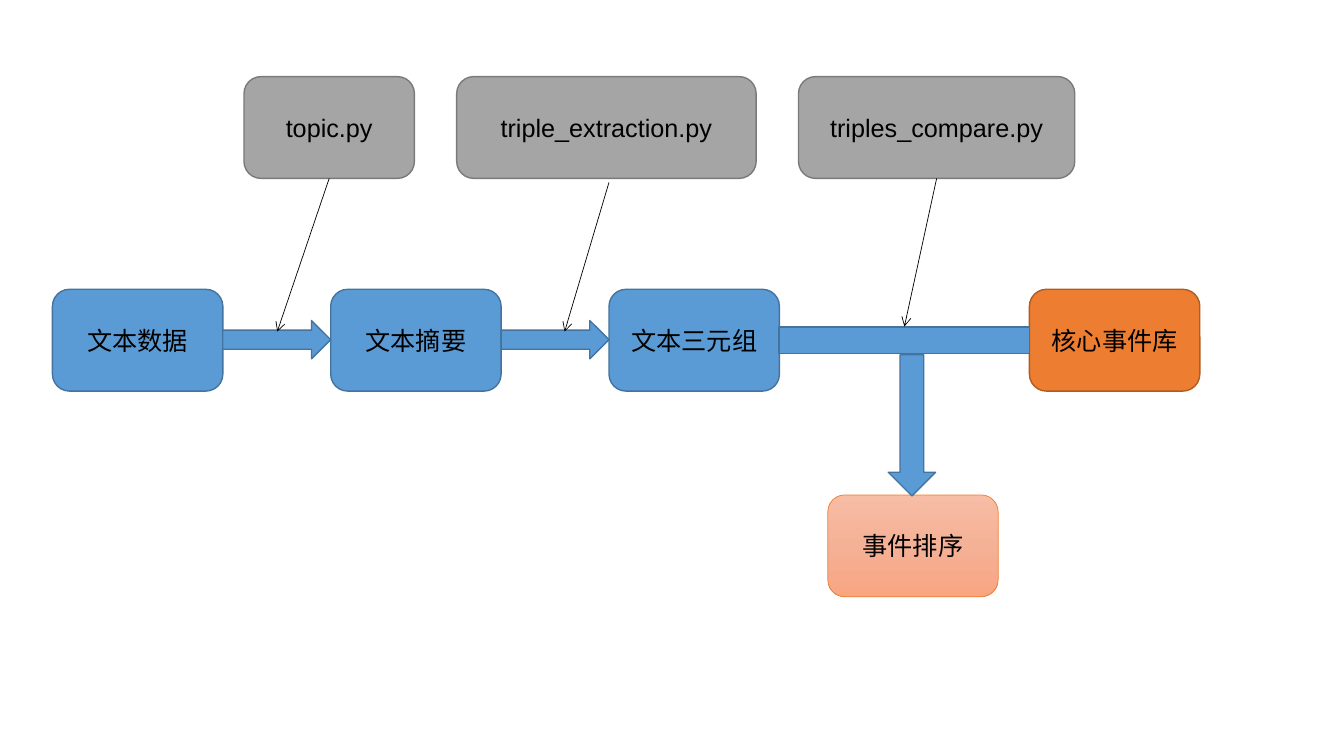
from pptx import Presentation
from pptx.dml.color import RGBColor
from pptx.enum.shapes import MSO_CONNECTOR, MSO_SHAPE as Shape
from pptx.enum.text import MSO_ANCHOR, PP_ALIGN
from pptx.oxml import parse_xml
from pptx.oxml.ns import nsdecls
from pptx.util import Inches, Pt

COLORS = {
    "blue": "5B9BD5", "blue_line": "43739E",
    "orange": "ED7D31", "orange_line": "AF5C24",
    "gray": "A5A5A5", "gray_line": "7A7A7A",
    "black": "000000",
}
PEACH_STOPS = [(0, "F7BDA5"), (50, "F5B196"), (100, "F8A582")]

BOX_W, BOX_H = 1.69, 1.01
FLOW_LEFT, FLOW_TOP, FLOW_STEP = 0.52, 2.87, 2.76
ARROW_TOP, ARROW_H = 3.18, 0.38
SCRIPT_TOP = 0.76

STAGES = ["文本数据", "文本摘要", "文本三元组"]
CORE = ("核心事件库", 10.21)
RANKING = ("事件排序", 8.21, 4.91)
BAR = (7.28, 2.82, 3.38, 1.11)
DOWN_ARROW = (8.81, 3.52, 0.47, 1.4)
SCRIPTS = [
    ("topic.py", 2.42, BOX_W, (3.28, 1.77), (2.75, 3.29)),
    ("triple_extraction.py", 4.53, 2.97, (6.04, 1.81), (5.6, 3.29)),
    ("triples_compare.py", 7.92, 2.74, (9.29, 1.77), (8.97, 3.24)),
]


def rgb(name):
    return RGBColor.from_string(COLORS[name])


def add_block(slide, kind, place, fill="blue", line="blue_line", weight=1):
    s = slide.shapes.add_shape(kind, *map(Inches, place))
    s.shadow.inherit = False
    s.fill.solid()
    s.fill.fore_color.rgb = rgb(fill)
    s.line.color.rgb = rgb(line)
    s.line.width = Pt(weight)
    return s


def add_box(slide, text, left, top, width=BOX_W, **style):
    place = (left, top, width, BOX_H)
    s = add_block(slide, Shape.FLOWCHART_ALTERNATE_PROCESS, place, **style)
    tf = s.text_frame
    tf.word_wrap = True
    tf.vertical_anchor = MSO_ANCHOR.MIDDLE
    p = tf.paragraphs[0]
    p.text = text
    p.alignment = PP_ALIGN.CENTER
    p.font.name = "Arial"
    p.font.size = Pt(18)
    p.font.color.rgb = rgb("black")
    return s


def set_gradient(s, stops):
    gs = "".join(
        f'<a:gs pos="{pos * 1000}"><a:srgbClr val="{color}"/></a:gs>'
        for pos, color in stops
    )
    gradient = parse_xml(
        f'<a:gradFill {nsdecls("a")} rotWithShape="1"><a:gsLst>{gs}</a:gsLst>'
        '<a:lin ang="5400000" scaled="0"/></a:gradFill>'
    )
    solid = s._element.spPr.find(
        "{http://schemas.openxmlformats.org/drawingml/2006/main}solidFill"
    )
    solid.getparent().replace(solid, gradient)


def add_pointer(slide, start, end):
    c = slide.shapes.add_connector(
        MSO_CONNECTOR.STRAIGHT, *map(Inches, start + end)
    )
    c.line.color.rgb = rgb("black")
    c.line.width = Pt(0.5)
    c.line._get_or_add_ln().append(
        parse_xml(f'<a:tailEnd {nsdecls("a")} type="arrow"/>')
    )
    c._element.spPr.append(parse_xml(f'<a:effectLst {nsdecls("a")}/>'))
    return c


def main():
    prs = Presentation()
    prs.slide_width, prs.slide_height = Inches(13.33), Inches(7.5)
    slide = prs.slides.add_slide(prs.slide_layouts[6])

    for i, text in enumerate(STAGES):
        left = FLOW_LEFT + i * FLOW_STEP
        add_box(slide, text, left, FLOW_TOP)
        if i:
            gap = FLOW_STEP - BOX_W
            place = (left - gap, ARROW_TOP, gap, ARROW_H)
            add_block(slide, Shape.RIGHT_ARROW, place)

    add_box(slide, *CORE, FLOW_TOP, fill="orange", line="orange_line")
    add_block(slide, Shape.MATH_MINUS, BAR)
    ranking = add_box(slide, *RANKING, line="orange", weight=0.5)
    set_gradient(ranking, PEACH_STOPS)
    add_block(slide, Shape.DOWN_ARROW, DOWN_ARROW)

    for text, left, width, start, end in SCRIPTS:
        box = add_box(slide, text, left, SCRIPT_TOP, width,
                      fill="gray", line="gray_line")
        pointer = add_pointer(slide, start, end)
        if start[1] == SCRIPT_TOP + BOX_H:
            pointer.begin_connect(box, 2)

    prs.save("out.pptx")


if __name__ == "__main__":
    main()
